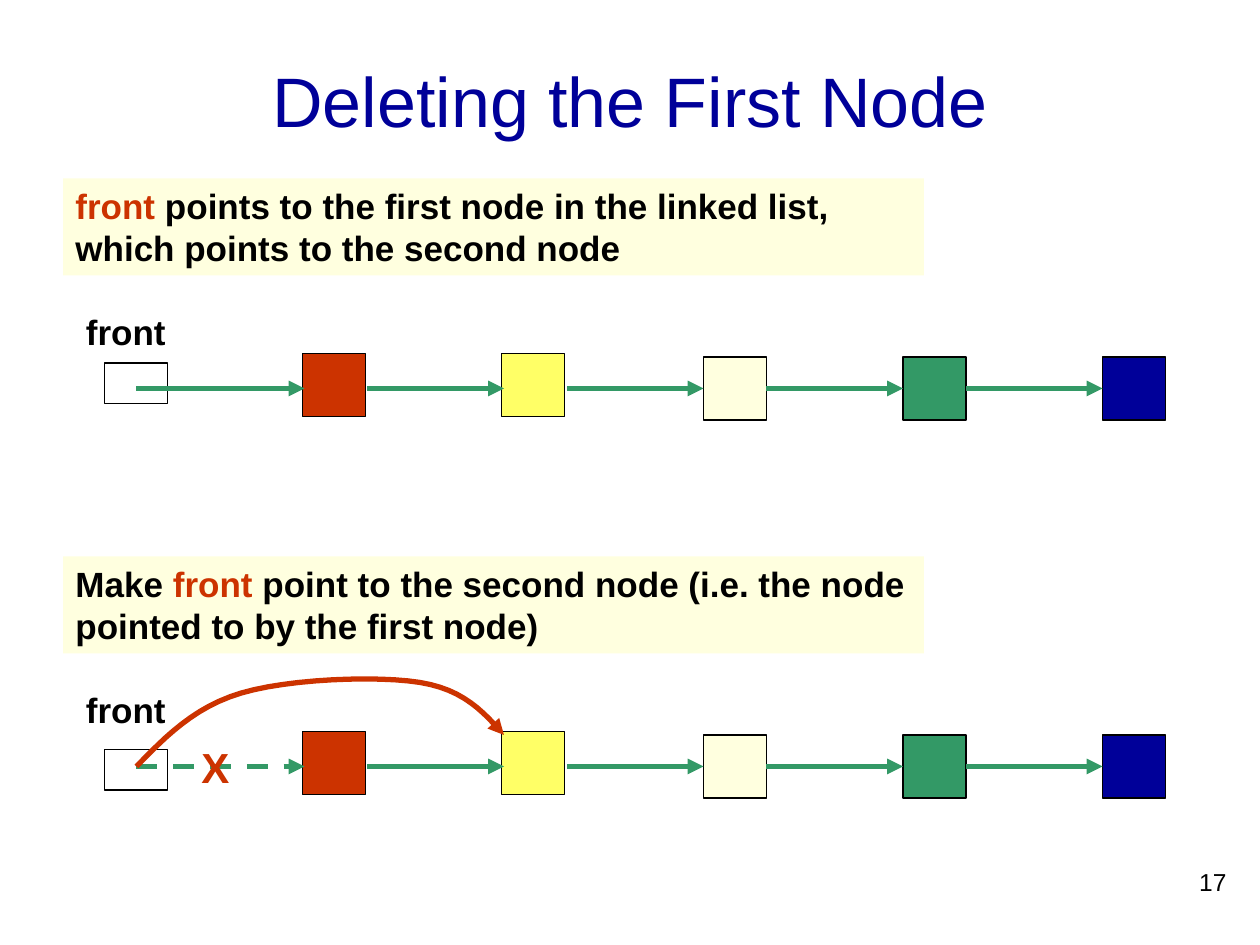
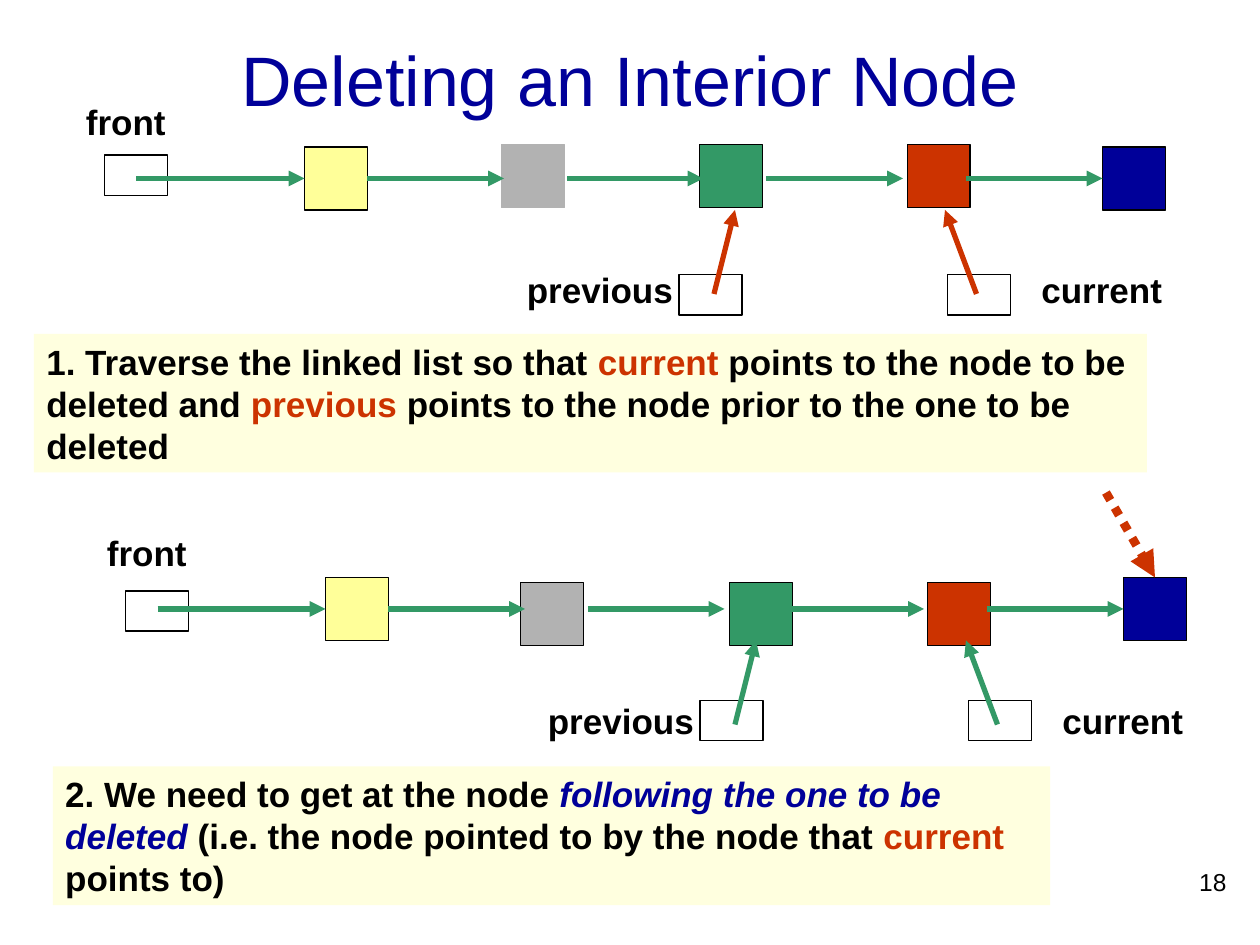
import pptx
import pptx.dml.color
import pptx.enum.dml
import pptx.enum.shapes
import pptx.enum.text
import pptx.oxml.ns
import pptx.util
from lxml import etree

Pt = pptx.util.Pt
hue = pptx.dml.color.RGBColor.from_string
qn = pptx.oxml.ns.qn
Align = pptx.enum.text.PP_ALIGN
Dash = pptx.enum.dml.MSO_LINE
RECT = pptx.enum.shapes.MSO_SHAPE.RECTANGLE
STRAIGHT = pptx.enum.shapes.MSO_CONNECTOR.STRAIGHT

BLACK, NAVY, RED, GREEN = "000000", "000099", "CC3300", "339966"
CREAM, GREY, LEMON, PALE = "FFFFDF", "B2B2B2", "FFFF66", "FFFF99"
FONT = "Arial"
SIDE = 36
LINKS = [(78, 174), (210, 288), (324, 402), (438, 516), (552, 630)]
# Pointer name: label left, box left, arrow start, arrow end
POINTERS = {"previous": (294, 388, 408, 420), "current": (588, 541.4, 558, 540)}


def write(frame, runs, size=20, bold=True, align=Align.LEFT):
    """Fill a text frame with one paragraph of (text, colour, italic) runs."""
    frame.word_wrap = True
    frame.auto_size = pptx.enum.text.MSO_AUTO_SIZE.NONE
    para = frame.paragraphs[0]
    para.alignment = align
    font = para.font
    font.name, font.size, font.bold = FONT, Pt(size), bold
    if len(runs) == 1:
        font.color.rgb = hue(runs[0][1])
    for text, tint, *slant in runs:
        run = para.add_run()
        run.text = text
        if len(runs) > 1:
            run.font.color.rgb = hue(tint)
        if slant:
            run.font.italic = True


def point(shape, tint, width=3, dash=None):
    """Style a connector or open outline as an arrow."""
    shape.line.color.rgb = hue(tint)
    shape.line.width = Pt(width)
    if dash:
        shape.line.dash_style = dash
    props = shape._element.spPr
    etree.SubElement(props.find(qn("a:ln")), qn("a:tailEnd"), type="triangle")
    if props.find(qn("a:effectLst")) is None:
        etree.SubElement(props, qn("a:effectLst"))


# Nodes: left, top from the arrow line, fill, edge.
first = [(172.8, -19.8, RED, BLACK), (286.6, -19.8, LEMON, BLACK),
         (402, -18, CREAM, BLACK), (516, -18, GREEN, BLACK),
         (630, -18, NAVY, BLACK)]
inner = [(174, -18, PALE, BLACK), (286.6, -19.2, GREY, GREY),
         (399.6, -19.2, GREEN, BLACK), (518.4, -19.2, RED, BLACK),
         (630, -18, NAVY, BLACK)]
later = [(174, -18, PALE, BLACK), (285.4, -15.2, GREY, BLACK),
         (405, -15.2, GREEN, BLACK), (518, -15.2, RED, BLACK),
         (630, -18, NAVY, BLACK)]

# Rows: shift right, arrow line, front box top, nodes, first dash,
# pointer box top and colour, note area, note runs.
pages = [
    ("Deleting the First Node", 17, 90, [
        (0, 222, -14.6, first, None, None, (36, 102, 492, 55.4), [
            ("front", RED),
            (" points to the first node in the linked list, "
             "which points to the second node", BLACK)]),
        (0, 438, -9.6, first, Dash.DASH, None, (36, 318, 492, 55.4), [
            ("Make ", BLACK), ("front", RED),
            (" point to the second node (i.e. the node "
             "pointed to by the first node)", BLACK)])]),
    ("Deleting an Interior Node", 18, 66, [
        (0, 102, -13.4, inner, None, (55, RED), (19.4, 190.8, 636, 79.2), [
            ("1. Traverse the linked list so that", BLACK),
            (" current", RED),
            (" points to the node to be deleted and ", BLACK),
            ("previous", RED),
            (" points to the node prior to the one to be deleted", BLACK)]),
        (12, 348, -10.3, later, None, (52.3, GREEN), (30.2, 438, 570, 79.2), [
            ("2. We need to get at the node ", BLACK),
            ("following the one to be deleted ", NAVY, True),
            ("(i.e. the node pointed to by the node that ", BLACK),
            ("current ", RED), ("points to)", BLACK)])]),
]

deck = pptx.Presentation()
deck.slide_width, deck.slide_height = Pt(720), Pt(540)

for title, number, height, rows in pages:
    slide = deck.slides.add_slide(deck.slide_layouts[5])
    shapes = slide.shapes
    head = shapes.title
    head.left, head.top, head.width, head.height = map(Pt, (54, 12, 612, height))
    head.text_frame.vertical_anchor = pptx.enum.text.MSO_ANCHOR.MIDDLE
    write(head.text_frame, [(title, NAVY)], 40, False, Align.CENTER)

    for shift, line, top, nodes, dash, marks, area, runs in rows:
        rects = [(left, rise, SIDE, fill, edge) for left, rise, fill, edge in nodes]
        rects.append((59.8, top, 23, None, BLACK))
        links = [(a, 0, b, 0, GREEN, None) for a, b in LINKS]
        links[0] = (*links[0][:5], dash)
        labels = [("front", 42, -48, 72)]
        if marks:
            drop, tint = marks
            for name, (left, box, start, end) in POINTERS.items():
                rects.append((box, drop, 23, None, BLACK))
                links.append((start, 66, end, 18, tint, None))
                labels.append((name, left, 48, 102))

        blocks = []
        for left, rise, tall, fill, edge in rects:
            block = shapes.add_shape(
                RECT, Pt(left + shift), Pt(line + rise), Pt(SIDE), Pt(tall))
            block.shadow.inherit = False
            if fill:
                block.fill.solid()
                block.fill.fore_color.rgb = hue(fill)
            else:
                block.fill.background()
            block.line.color.rgb = hue(edge)
            block.line.width = Pt(0.75)
            blocks.append(block)

        for x1, y1, x2, y2, tint, style in links:
            arrow = shapes.add_connector(
                STRAIGHT, Pt(x1 + shift), Pt(line + y1), Pt(x2 + shift), Pt(line + y2))
            for (left, rise, *rest), block in zip(nodes, blocks):
                if y1 == 0 and rise == -SIDE / 2:
                    if x1 == left + SIDE:
                        arrow.begin_connect(block, 3)
                    if x2 == left:
                        arrow.end_connect(block, 1)
            point(arrow, tint, dash=style)

        for name, left, rise, wide in labels:
            label = shapes.add_textbox(
                Pt(left + shift), Pt(line + rise), Pt(wide), Pt(31.7))
            write(label.text_frame, [(name, BLACK)])

        note = shapes.add_textbox(*map(Pt, area))
        note.fill.solid()
        note.fill.fore_color.rgb = hue(CREAM)
        write(note.text_frame, runs)

    if number == 17:
        cross = shapes.add_textbox(Pt(108), Pt(420), Pt(36), Pt(36))
        write(cross.text_frame, [("X", RED)], 24)
        # Cubic arcs from the front box over the first node to the second
        knots = [(78, 438), (94.5, 421), (111, 404), (138, 396), (165, 388),
                 (215, 386), (240, 390), (265, 394), (276.5, 407), (288, 420)]
        track = []
        for i in range(0, 9, 3):
            for step in range(1, 13):
                t = step / 12
                mix = ((1 - t) ** 3, 3 * t * (1 - t) ** 2, 3 * t * t * (1 - t), t ** 3)
                track.append(tuple(
                    Pt(sum(m * k for m, k in zip(mix, axis)))
                    for axis in zip(*knots[i:i + 4])))
        pen = shapes.build_freeform(Pt(78), Pt(438))
        pen.add_line_segments(track, close=False)
        curve = pen.convert_to_shape()
        curve.fill.background()
        point(curve, RED)
    else:
        hint = shapes.add_connector(STRAIGHT, Pt(632), Pt(281.5), Pt(660), Pt(330))
        hint.end_connect(blocks[len(nodes) - 1], 0)
        point(hint, RED, 5, Dash.ROUND_DOT)

    foot = shapes.add_textbox(Pt(558), Pt(492), Pt(150), Pt(36))
    write(foot.text_frame, [(str(number), BLACK)], 14, False, Align.RIGHT)

deck.save("out.pptx")
